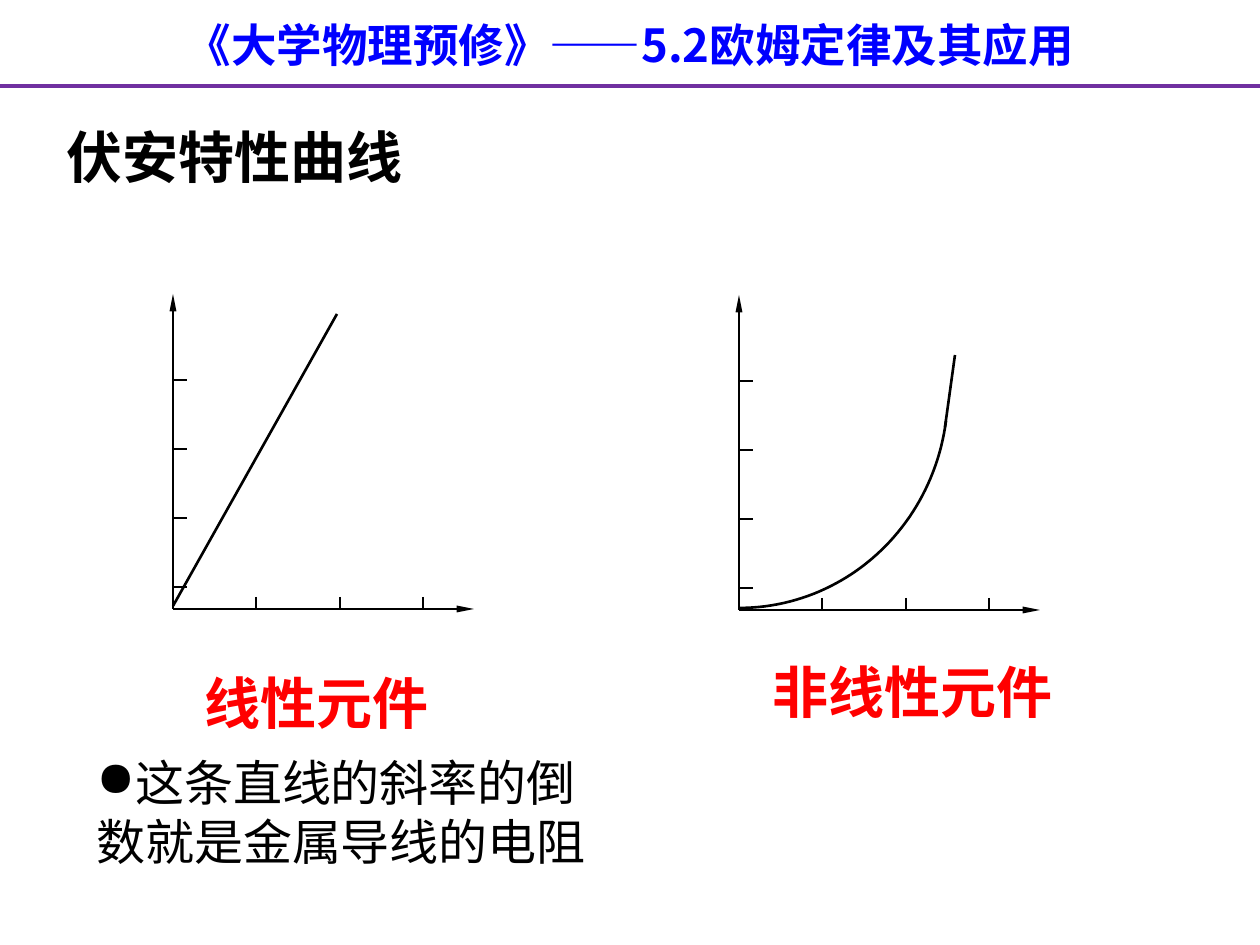
"""Build the slide on volt-ampere characteristic curves."""
from dataclasses import dataclass

from lxml import etree
from pptx import Presentation
from pptx import util as u
from pptx.dml.color import RGBColor
from pptx.enum import shapes, text
from pptx.oxml.ns import qn

SCALE = 914400 / 126
BLUE = RGBColor(0x00, 0x00, 0xFF)
PURPLE = RGBColor(0x70, 0x30, 0xA0)
BLACK = RGBColor(0x00, 0x00, 0x00)
RED = RGBColor(0xFF, 0x00, 0x00)
SANS_SC = "Noto Sans CJK SC"
SANS_JP = "Noto Sans CJK JP"
LEFT, CENTER = text.PP_ALIGN.LEFT, text.PP_ALIGN.CENTER

AXIS_WIDTH, AXIS_HEIGHT = 301, 315
X_TICK_COUNT, X_TICK_LENGTH = 4, 12
Y_TICK_COUNT, Y_TICK_LENGTH, Y_TICK_STEP, Y_TICK_START = 4, 14, 69, 22
CURVE_STEPS = 48


@dataclass(frozen=True)
class Caption:
    wording: str
    left: int
    top: int
    width: int
    height: int
    size: int
    color: RGBColor
    align: text.PP_ALIGN = LEFT
    font: str = SANS_SC
    bold: bool = True
    bullet: str = ""
    line_points: float = 0
    margin_top: int = 6
    margin_bottom: int = 6


@dataclass(frozen=True)
class Point:
    x: int
    y: int


CAPTIONS = [
    Caption("《大学物理预修》——5.2欧姆定律及其应用", 0, 10, 1260, 68, 26, BLUE, CENTER),
    Caption("伏安特性曲线", 54, 116, 566, 81, 32, BLACK),
    Caption("线性元件", 123, 662, 387, 81, 32, RED, CENTER),
    Caption("非线性元件", 719, 651, 387, 81, 32, RED, CENTER),
    Caption("这条直线的斜率的倒数就是金属导线的电阻", 84, 741, 525, 131, 28, BLACK,
            font=SANS_JP, bold=False, bullet="●", line_points=33.6,
            margin_top=11, margin_bottom=1),
]
LINEAR_ORIGIN = Point(173, 609)
NONLINEAR_ORIGIN = Point(739, 610)
RESISTANCE_LINE = Point(173, 606), Point(337, 314)
CURVE_CONTROLS = Point(739, 608), Point(844, 608), Point(932, 528), Point(946, 421)
CURVE_END = Point(945, 427), Point(955, 355)


def px(length: float) -> u.Emu:
    """Turn a length in px into EMU."""
    return u.Emu(round(length * SCALE))


def add_caption(slide, caption: Caption) -> None:
    """Add one text box."""
    box = slide.shapes.add_textbox(px(caption.left), px(caption.top),
                                   px(caption.width), px(caption.height))
    frame = box.text_frame
    frame_format = {
        "word_wrap": True,
        "auto_size": text.MSO_AUTO_SIZE.NONE,
        "vertical_anchor": text.MSO_ANCHOR.MIDDLE,
        "margin_top": px(caption.margin_top),
        "margin_bottom": px(caption.margin_bottom),
    }
    for key, value in frame_format.items():
        setattr(frame, key, value)
    paragraph = frame.paragraphs[0]
    paragraph.alignment = caption.align
    if caption.line_points:
        paragraph.line_spacing = u.Pt(caption.line_points)
    if caption.bullet:
        properties = paragraph._p.get_or_add_pPr()
        properties.set("marL", "0")
        properties.set("indent", "0")
        etree.SubElement(properties, qn("a:buChar"), char=caption.bullet)
    run = paragraph.add_run()
    run.text = caption.wording
    run_format = {"size": u.Pt(caption.size), "bold": caption.bold, "name": caption.font}
    for key, value in run_format.items():
        setattr(run.font, key, value)
    run.font.color.rgb = caption.color
    etree.SubElement(run._r.get_or_add_rPr(), qn("a:ea"), typeface=caption.font)


def add_line(slide, start: Point, end: Point, color: RGBColor = BLACK,
             width: float = 1.5, arrow: bool = False) -> None:
    """Add a straight line, with an arrowhead at its end if asked."""
    line = slide.shapes.add_connector(shapes.MSO_CONNECTOR.STRAIGHT,
                                      px(start.x), px(start.y), px(end.x), px(end.y))
    line.line.color.rgb = color
    line.line.width = u.Pt(width)
    if arrow:
        etree.SubElement(line.line._get_or_add_ln(), qn("a:tailEnd"),
                         type="triangle", w="sm", len="lg")
    etree.SubElement(line._element.spPr, qn("a:effectLst"))


def add_axes(slide, origin: Point) -> None:
    """Add a pair of arrowed axes with their ticks."""
    add_line(slide, origin, Point(origin.x, origin.y - AXIS_HEIGHT), arrow=True)
    add_line(slide, origin, Point(origin.x + AXIS_WIDTH, origin.y), arrow=True)
    for index in range(X_TICK_COUNT):
        x = origin.x + index * 167 // 2
        add_line(slide, Point(x, origin.y - X_TICK_LENGTH), Point(x, origin.y))
    for index in range(Y_TICK_COUNT):
        y = origin.y - Y_TICK_START - index * Y_TICK_STEP
        add_line(slide, Point(origin.x, y), Point(origin.x + Y_TICK_LENGTH, y))


def bezier(values: list[int], t: float) -> float:
    """Evaluate a cubic Bézier coordinate at t."""
    weights = (1 - t) ** 3, 3 * t * (1 - t) ** 2, 3 * t * t * (1 - t), t ** 3
    return sum(weight * value for weight, value in zip(weights, values))


def add_curve(slide, controls: tuple[Point, ...]) -> None:
    """Add an open curve through a cubic Bézier."""
    xs, ys = [p.x for p in controls], [p.y for p in controls]
    steps = [index / CURVE_STEPS for index in range(CURVE_STEPS + 1)]
    points = [(px(bezier(xs, t)), px(bezier(ys, t))) for t in steps]
    builder = slide.shapes.build_freeform(*points[0])
    builder.add_line_segments(points[1:], close=False)
    curve = builder.convert_to_shape()
    curve.shadow.inherit = False
    curve.fill.background()
    curve.line.color.rgb = BLACK
    curve.line.width = u.Pt(1.5)


def main() -> None:
    """Build and save the slide."""
    deck = Presentation()
    deck.slide_width, deck.slide_height = px(1260), px(945)
    slide = deck.slides.add_slide(deck.slide_layouts[6])
    add_line(slide, Point(0, 86), Point(1260, 86), PURPLE, 2.25)
    add_axes(slide, LINEAR_ORIGIN)
    add_line(slide, *RESISTANCE_LINE)
    add_axes(slide, NONLINEAR_ORIGIN)
    add_curve(slide, CURVE_CONTROLS)
    add_line(slide, *CURVE_END)
    for caption in CAPTIONS:
        add_caption(slide, caption)
    deck.save("out.pptx")


if __name__ == "__main__":
    main()
